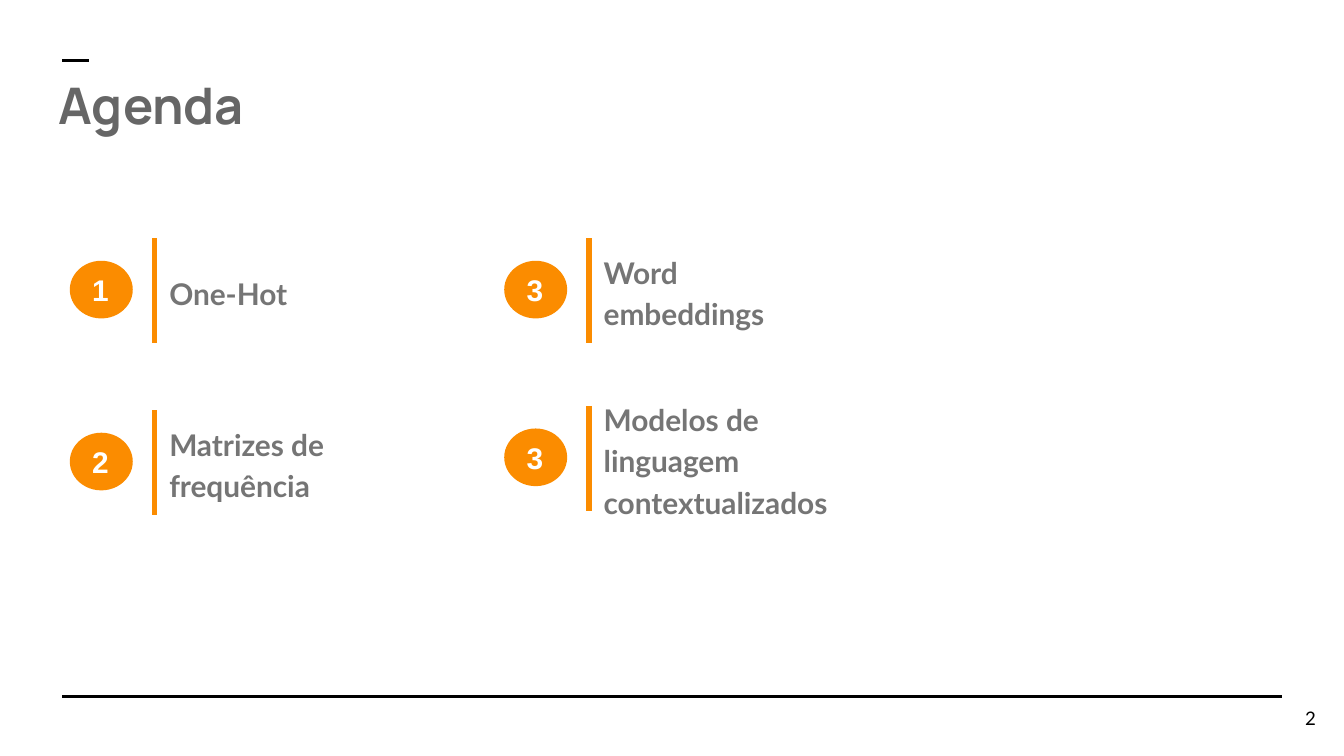
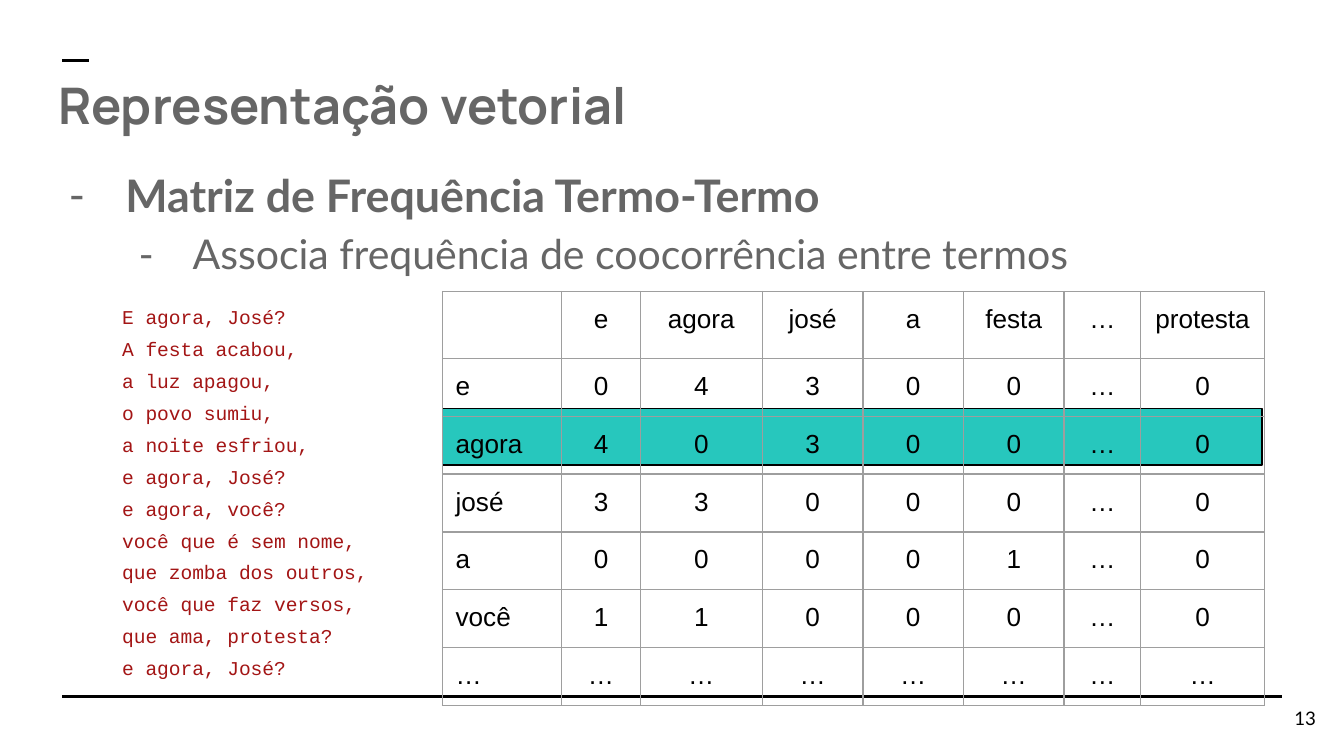
"""Build the agenda slide and the term-term frequency matrix slide."""
from lxml import etree
from pptx import Presentation
from pptx.dml.color import RGBColor
from pptx.enum.shapes import MSO_CONNECTOR, MSO_SHAPE
from pptx.enum.text import MSO_ANCHOR, PP_ALIGN
from pptx.oxml.ns import qn
from pptx.util import Cm, Pt

STRAIGHT = MSO_CONNECTOR.STRAIGHT
OVAL, RECT = MSO_SHAPE.OVAL, MSO_SHAPE.RECTANGLE
TOP, MIDDLE = MSO_ANCHOR.TOP, MSO_ANCHOR.MIDDLE
LEFT, CENTER, RIGHT = PP_ALIGN.LEFT, PP_ALIGN.CENTER, PP_ALIGN.RIGHT

BLACK = RGBColor(0x00, 0x00, 0x00)
WHITE = RGBColor(0xFF, 0xFF, 0xFF)
GRAY = RGBColor(0x66, 0x66, 0x66)
LABEL = RGBColor(0x75, 0x75, 0x75)
ORANGE = RGBColor(0xFB, 0x8C, 0x00)
TEAL = RGBColor(0x27, 0xC7, 0xBD)
CODE_RED = RGBColor(0xA3, 0x15, 0x15)
BORDER = RGBColor(0x9E, 0x9E, 0x9E)
INSET = Cm(0.25)


def add_line(shapes, x1, y1, x2, y2, color, width):
    ln = shapes.add_connector(STRAIGHT, Cm(x1), Cm(y1), Cm(x2), Cm(y2))
    ln.line.color.rgb = color
    ln.line.width = Pt(width)
    etree.SubElement(ln._element.spPr, qn("a:effectLst"))


def write(tf, lines, font, size, color, bold=False, align=LEFT, anchor=TOP, spacing=None):
    tf.word_wrap = True
    tf.vertical_anchor = anchor
    tf.margin_left = tf.margin_right = tf.margin_top = tf.margin_bottom = INSET
    for i, text in enumerate(lines):
        p = tf.add_paragraph() if i else tf.paragraphs[0]
        p.alignment = align
        if spacing:
            p.line_spacing = spacing
        r = p.add_run()
        r.text = text
        r.font.name = font
        r.font.size = Pt(size)
        r.font.bold = bold
        r.font.color.rgb = color


prs = Presentation()
prs.slide_width, prs.slide_height = Cm(25.4), Cm(14.29)

slides = []
for title, number in [("Agenda", "2"), ("Representação vetorial", "13")]:
    s = prs.slides.add_slide(prs.slide_layouts[6])
    s.background.fill.solid()
    s.background.fill.fore_color.rgb = WHITE
    add_line(s.shapes, 1.18, 13.16, 24.23, 13.16, BLACK, 1.5)
    add_line(s.shapes, 1.18, 1.15, 1.69, 1.15, BLACK, 1.5)
    tb = s.shapes.add_textbox(Cm(23.6), Cm(13.03), Cm(1.52), Cm(1.09))
    write(tb.text_frame, [number], "Lato", 10, BLACK, align=RIGHT, anchor=MIDDLE)
    tb = s.shapes.add_textbox(Cm(0.85), Cm(1.15), Cm(23.67), Cm(1.78))
    write(tb.text_frame, [title], "Manrope", 27, GRAY, bold=True)
    slides.append(s)
agenda, matrix = slides

topics = [
    ("1", "One-Hot", 2.92, 4.5, 4.65),
    ("2", "Matrizes de frequência", 2.92, 7.75, 3.91),
    ("3", "Word embeddings", 11.13, 4.5, 3.91),
    ("3", "Modelos de linguagem contextualizados", 11.13, 7.67, 5.66),
]
for number, topic, x, y, width in topics:
    group = agenda.shapes.add_group_shape()
    add_line(group.shapes, x, y, x, y + 1.98, ORANGE, 3)
    tb = group.shapes.add_textbox(Cm(x + 0.03), Cm(y - 0.21), Cm(width), Cm(2.41))
    write(tb.text_frame, [topic], "Lato", 16, LABEL, bold=True, anchor=MIDDLE, spacing=1.15)
    sp = agenda.shapes.add_shape(OVAL, Cm(x - 1.6), Cm(y + 0.43), Cm(1.19), Cm(1.09))
    sp.shadow.inherit = False
    sp.fill.solid()
    sp.fill.fore_color.rgb = ORANGE
    sp.line.fill.background()
    write(sp.text_frame, [number], "Arial", 16, WHITE, bold=True, anchor=MIDDLE)

tb = matrix.shapes.add_textbox(Cm(0.85), Cm(2.92), Cm(23.4), Cm(8.15))
tf = tb.text_frame
write(tf, ["Matriz de Frequência Termo-Termo", "Associa frequência de coocorrência entre termos"],
      "Lato", 24, GRAY)
heading, detail = tf.paragraphs
heading.space_before = Pt(10)
heading.runs[0].font.bold = True
detail.level = 1
detail.line_spacing = 1.15
detail.runs[0].font.size = Pt(22)
for p, margin, hanging in [(heading, 1.27, 1.07), (detail, 2.54, 1.02)]:
    pPr = p._p.get_or_add_pPr()
    pPr.set("marL", str(Cm(margin)))
    pPr.set("indent", str(-Cm(hanging)))
    color = etree.SubElement(pPr, qn("a:buClr"))
    etree.SubElement(color, qn("a:srgbClr")).set("val", str(GRAY))
    etree.SubElement(pPr, qn("a:buFont")).set("typeface", "Lato")
    etree.SubElement(pPr, qn("a:buChar")).set("char", "-")

poem = [
    "E agora, José?", "A festa acabou,", "a luz apagou,", "o povo sumiu,",
    "a noite esfriou,", "e agora, José?", "e agora, você?", "você que é sem nome,",
    "que zomba dos outros,", "você que faz versos,", "que ama, protesta?", "e agora, José?",
]
tb = matrix.shapes.add_textbox(Cm(2.06), Cm(5.36), Cm(5.77), Cm(7.67))
write(tb.text_frame, poem, "Courier New", 10.5, CODE_RED, spacing=1.36)

sp = matrix.shapes.add_shape(RECT, Cm(8.36), Cm(7.72), Cm(15.49), Cm(1.07))
sp.shadow.inherit = False
sp.fill.solid()
sp.fill.fore_color.rgb = TEAL
sp.line.color.rgb = BLACK
sp.line.width = Pt(0.75)

rows = [
    ["", "e", "agora", "josé", "a", "festa", "…", "protesta"],
    ["e", "0", "4", "3", "0", "0", "…", "0"],
    ["agora", "4", "0", "3", "0", "0", "…", "0"],
    ["josé", "3", "3", "0", "0", "0", "…", "0"],
    ["a", "0", "0", "0", "0", "1", "…", "0"],
    ["você", "1", "1", "0", "0", "0", "…", "0"],
    ["…"] * 8,
]
widths = [2.26, 1.48, 2.31, 1.9, 1.9, 1.9, 1.45, 2.34]
table = matrix.shapes.add_table(len(rows), len(widths), Cm(8.36), Cm(5.51),
                                Cm(sum(widths)), Cm(6.5)).table
table.first_row = table.horz_banding = False
for column, width in zip(table.columns, widths):
    column.width = Cm(width)
for i, row in enumerate(rows):
    table.rows[i].height = Cm(0.94 if i else 0.86)
    for j, text in enumerate(row):
        cell = table.cell(i, j)
        cell.margin_left = cell.margin_right = cell.margin_top = cell.margin_bottom = INSET
        if text:
            write(cell.text_frame, [text], "Arial", 14, BLACK, align=CENTER if j else LEFT)
            cell.text_frame._txBody.bodyPr.attrib.clear()
        tcPr = cell._tc.get_or_add_tcPr()
        for side in ("a:lnL", "a:lnR", "a:lnT", "a:lnB"):
            ln = etree.SubElement(tcPr, qn(side), w=str(Pt(0.75)))
            fill = etree.SubElement(ln, qn("a:solidFill"))
            etree.SubElement(fill, qn("a:srgbClr")).set("val", str(BORDER))
        cell.fill.background()

prs.save("out.pptx")
